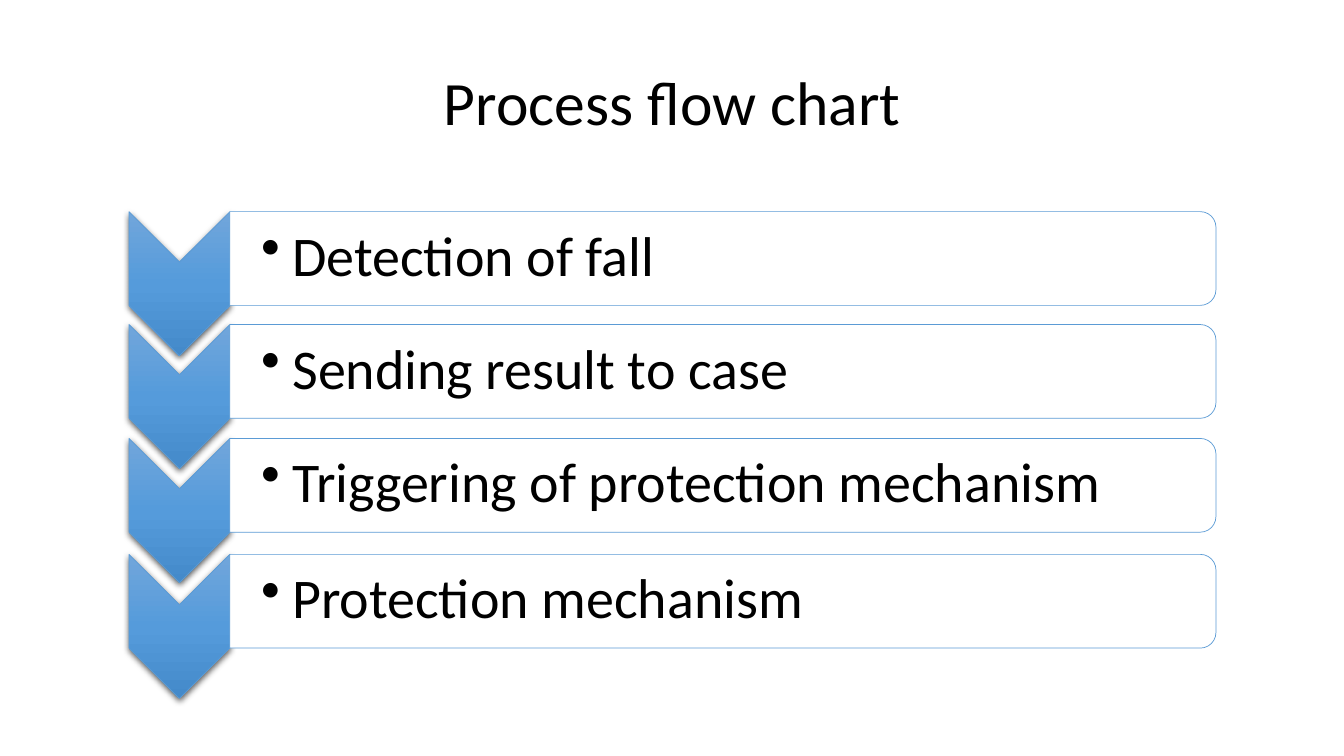
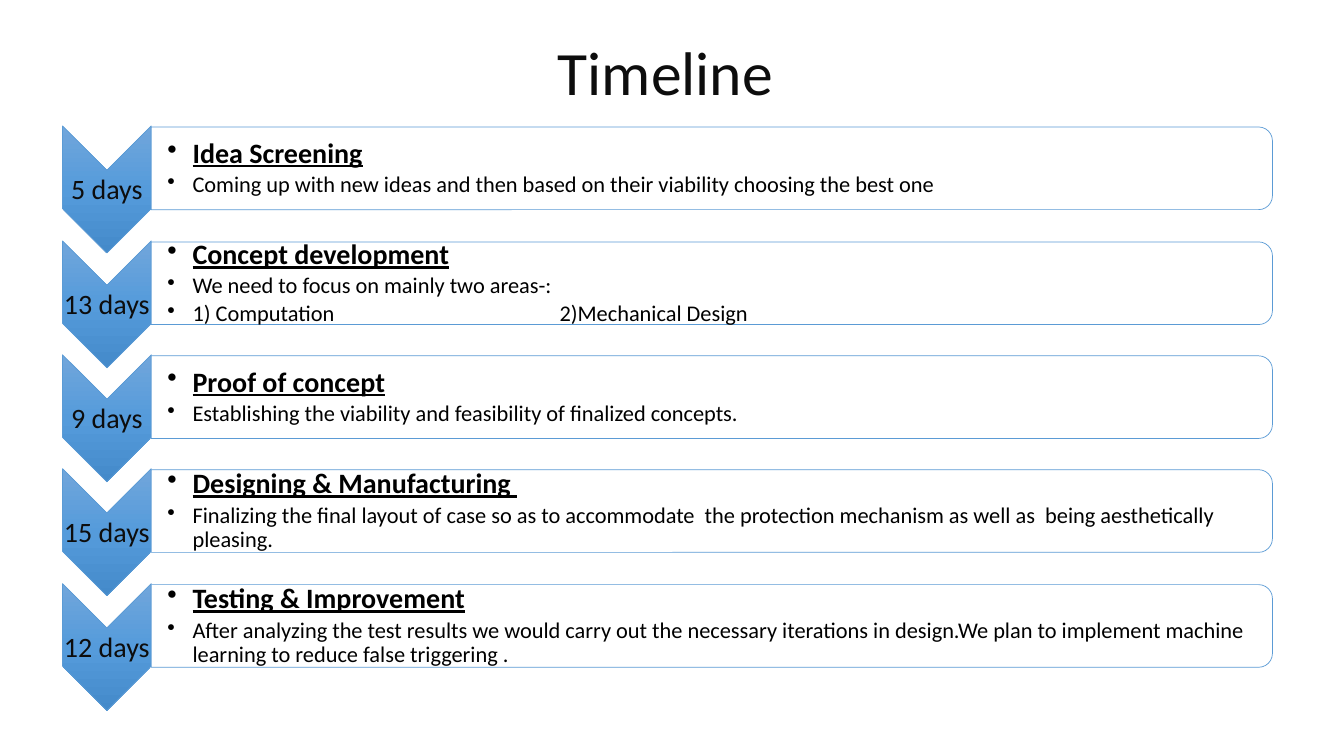
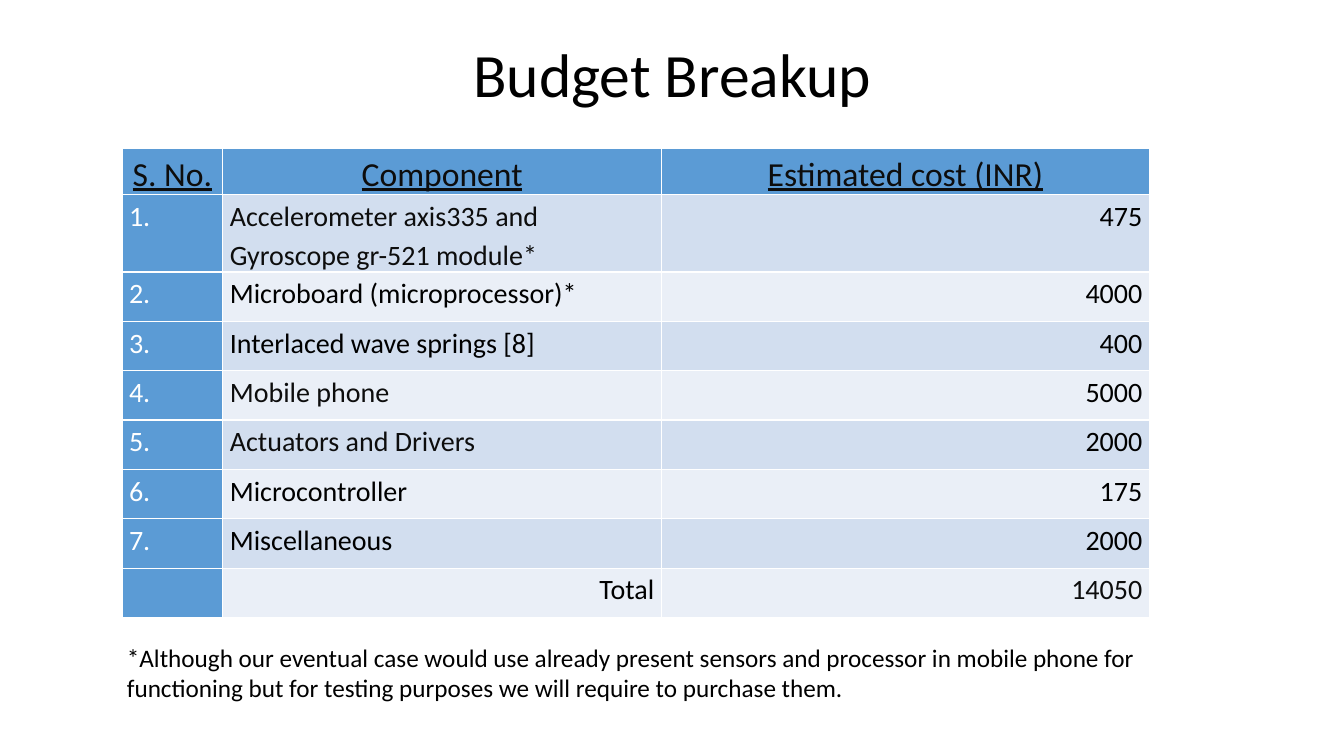
"""Builds three slides: a process flow, a timeline and a budget table."""
from lxml.etree import SubElement
from pptx import Presentation
from pptx.dml.color import RGBColor
from pptx.enum.shapes import MSO_SHAPE as SHAPE
from pptx.enum.text import MSO_ANCHOR as ANCHOR, PP_ALIGN as ALIGN
from pptx.oxml import parse_xml
from pptx.oxml.ns import nsdecls, qn
from pptx.util import Pt

EMU = 9144
FONT = "Calibri"
C = {"black": "000000", "ink": "0D0D0D", "white": "FFFFFF", "blue": "5B9BD5",
     "light": "71A6DB", "mid": "559BDB", "deep": "448ACA",
     "band": "D2DEEF", "pale": "EAEFF7"}


def px(n):
    return round(n * EMU)


def rgb(name):
    return RGBColor.from_string(C[name])


def write(tf, text, size=20, color="black", bold=False, underline=False,
          align=ALIGN.LEFT, spacing=0.9, after=0, hang=0, tab=0):
    p = tf.paragraphs[0]
    if p.runs:
        p = tf.add_paragraph()
    pPr = p._p.get_or_add_pPr()
    if hang:
        pPr.set("marL", str(px(hang)))
        pPr.set("indent", str(-px(hang)))
        SubElement(pPr, qn("a:buChar"), char="•")
    if tab:
        stops = SubElement(pPr, qn("a:tabLst"))
        SubElement(stops, qn("a:tab"), pos=str(px(tab)), algn="l")
    p.alignment = align
    p.line_spacing = spacing
    p.space_after = Pt(size * after)
    r = p.add_run()
    r.text = text
    f = r.font
    f.name, f.size, f.bold, f.underline = FONT, Pt(size), bold, underline
    f.color.rgb = rgb(color)


class Deck:
    def __init__(self):
        self.prs = Presentation()
        self.prs.slide_width, self.prs.slide_height = px(1333), px(750)

    def slide(self, title, y, h, color="black"):
        self.s = self.prs.slides.add_slide(self.prs.slide_layouts[6])
        tf = self.box(92, y, 1150, h, (10, 5, 10, 5))
        write(tf, title, size=44, color=color, align=ALIGN.CENTER)

    def box(self, x, y, w, h, insets, anchor=ANCHOR.MIDDLE):
        tf = self.s.shapes.add_textbox(px(x), px(y), px(w), px(h)).text_frame
        tf.word_wrap = True
        tf.vertical_anchor = anchor
        (tf.margin_left, tf.margin_top,
         tf.margin_right, tf.margin_bottom) = map(px, insets)
        return tf

    def turned(self, kind, x, y, w, h):
        left, top = x + (w - h) / 2, y + (h - w) / 2
        sp = self.s.shapes.add_shape(kind, px(left), px(top), px(h), px(w))
        sp.rotation = 90
        sp.shadow.inherit = False
        sp.line.color.rgb = rgb("blue")
        sp.line.width = Pt(0.5)
        return sp

    def chevron(self, x, y, w, h, shadow=False):
        sp = self.turned(SHAPE.CHEVRON, x, y, w, h)
        stops = "".join(
            f'<a:gs pos="{pos}"><a:srgbClr val="{C[name]}"/></a:gs>'
            for pos, name in ((0, "light"), (50000, "mid"), (100000, "deep")))
        spPr = sp._element.spPr
        spPr.find(qn("a:prstGeom")).addnext(parse_xml(
            f'<a:gradFill {nsdecls("a")} rotWithShape="0"><a:gsLst>{stops}'
            '</a:gsLst><a:lin ang="5400000" scaled="0"/></a:gradFill>'))
        if shadow:
            spPr.find(qn("a:effectLst")).append(parse_xml(
                f'<a:outerShdw {nsdecls("a")} blurRad="57150" dist="19050" '
                'dir="5400000" algn="ctr" rotWithShape="0">'
                f'<a:srgbClr val="{C["black"]}"><a:alpha val="63000"/>'
                '</a:srgbClr></a:outerShdw>'))

    def panel(self, x, y, w, h):
        sp = self.turned(SHAPE.ROUND_2_SAME_RECTANGLE, x, y, w, h)
        sp.fill.solid()
        sp.fill.fore_color.rgb = rgb("white")

    def table(self, x, y, widths, heights):
        tbl = self.s.shapes.add_table(
            len(heights), len(widths), px(x), px(y),
            px(sum(widths)), px(sum(heights))).table
        for col, w in zip(tbl.columns, widths):
            col.width = px(w)
        for row, h in zip(tbl.rows, heights):
            row.height = px(h)
        return tbl

    def cell(self, cell, text, fill, anchor=ANCHOR.TOP, **fmt):
        cell.fill.solid()
        cell.fill.fore_color.rgb = rgb(fill)
        cell.margin_left = cell.margin_right = px(7)
        cell.margin_top = cell.margin_bottom = 0
        cell.vertical_anchor = anchor
        if text:
            write(cell.text_frame, text, spacing=1.15, **fmt)


def process(deck):
    deck.slide("Process flow chart", 32, 145)
    steps = ((210, "Detection of fall"), (322, "Sending result to case"),
             (435, "Triggering of protection mechanism"),
             (550, "Protection mechanism"))
    for y, step in steps:
        deck.chevron(128, y, 100, 143, shadow=True)
        deck.panel(228, y, 978, 93)
        tf = deck.box(228, y + 4, 973, 84, (31, 3, 3, 3))
        write(tf, step, size=40, after=0.15, hang=31)


def timeline(deck):
    deck.slide("Timeline ", 24, 101, color="ink")
    phases = (
        ("5 days", "Idea Screening",
         "Coming up with new ideas and then based on their viability "
         "choosing the best one"),
        ("13 days", "Concept development",
         "We need to focus on mainly two areas-:",
         "1) Computation\t2)Mechanical Design"),
        ("9 days", "Proof of concept",
         "Establishing the viability and feasibility of finalized concepts."),
        ("15 days", "Designing & Manufacturing ",
         "Finalizing the final layout of case so as to accommodate  the "
         "protection mechanism as well as  being aesthetically pleasing."),
        ("12 days", "Testing & Improvement",
         "After analyzing the test results we would carry out the necessary "
         "iterations in design.We plan to implement machine learning to "
         "reduce false triggering ."))
    for i, (days, name, *details) in enumerate(phases):
        y = 125 + round(i * 113.5)
        deck.chevron(62, y, 88, 126)
        tf = deck.box(62, y + 45, 88, 38, (1, 1, 1, 1))
        write(tf, days, color="ink", align=ALIGN.CENTER, after=0.35)
        deck.panel(150, y + 1, 1112, 82)
        tf = deck.box(150, y + 5, 1108, 74, (16, 1, 1, 1))
        write(tf, name, bold=True, underline=True, after=0.15, hang=25)
        for detail in details:
            write(tf, detail, size=16, after=0.15, hang=25,
                  tab=389 if "\t" in detail else 0)


def budget(deck):
    deck.slide("Budget Breakup", 21, 112)
    heads = ("S. No.", "Component", "Estimated cost (INR)")
    rows = (("1.", "Accelerometer axis335 and Gyroscope gr-521 module*", "475"),
            ("2.", "Microboard (microprocessor)*", "4000"),
            ("3.", "Interlaced wave springs [8]", "400"),
            ("4.", "Mobile phone", "5000"),
            ("5.", "Actuators and Drivers", "2000"),
            ("6.", "Microcontroller", "175"),
            ("7.", "Miscellaneous", "2000"),
            ("", "Total", "14050"))
    tbl = deck.table(121, 147, (100, 435, 484), [39] + [49] * len(rows))
    for j, head in enumerate(heads):
        deck.cell(tbl.cell(0, j), head, "blue", ANCHOR.BOTTOM, size=24,
                  color="ink", underline=True, align=ALIGN.CENTER)
    for i, (number, part, cost) in enumerate(rows, 1):
        band = "band" if i % 2 else "pale"
        deck.cell(tbl.cell(i, 0), number, "blue", color="white")
        deck.cell(tbl.cell(i, 1), part, band,
                  color="ink" if i in (1, 4, 5) else "black",
                  align=ALIGN.LEFT if number else ALIGN.RIGHT)
        deck.cell(tbl.cell(i, 2), cost, band, align=ALIGN.RIGHT,
                  color="black" if number else "ink")
    tf = deck.box(116, 632, 1051, 101, (10, 5, 10, 5), ANCHOR.TOP)
    write(tf, "*Although our eventual case would use already present sensors "
          "and processor in mobile phone for functioning but for testing "
          "purposes we will require to purchase them.", size=18, spacing=1)


def main():
    deck = Deck()
    process(deck)
    timeline(deck)
    budget(deck)
    deck.prs.save("out.pptx")


if __name__ == "__main__":
    main()
